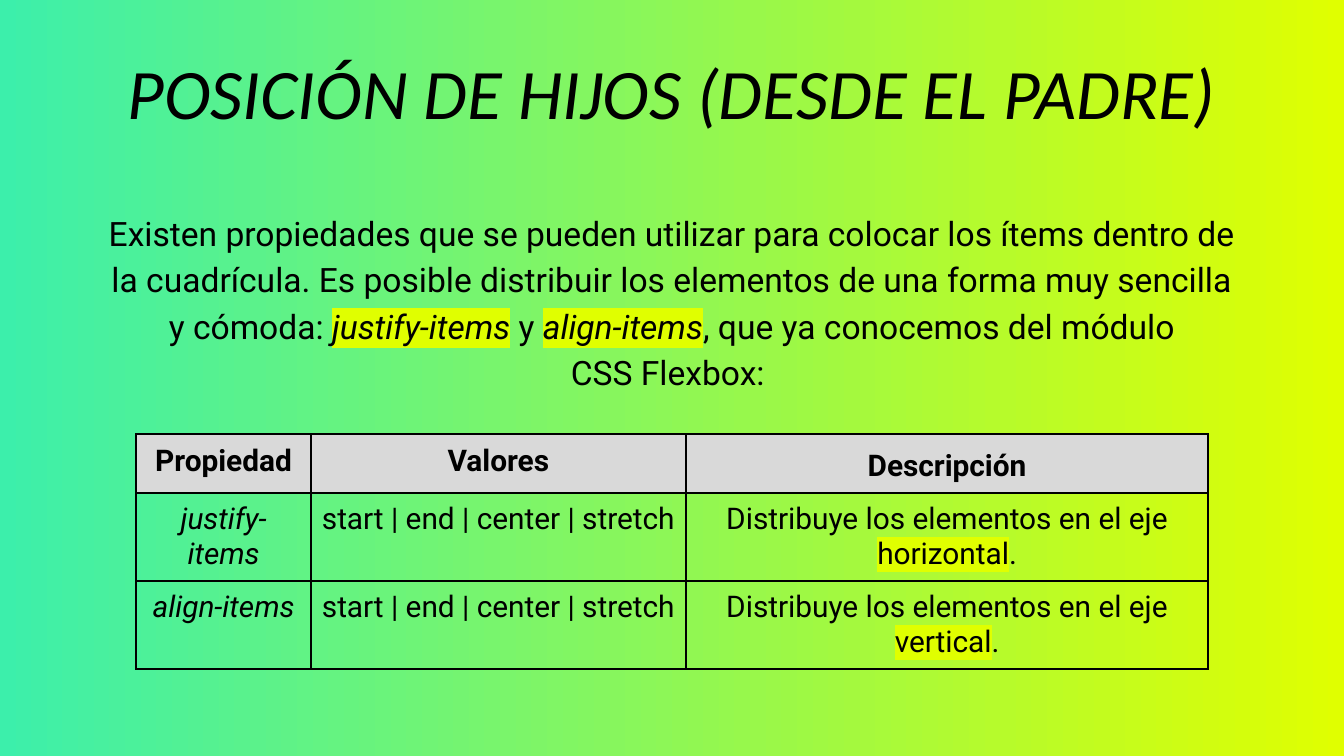
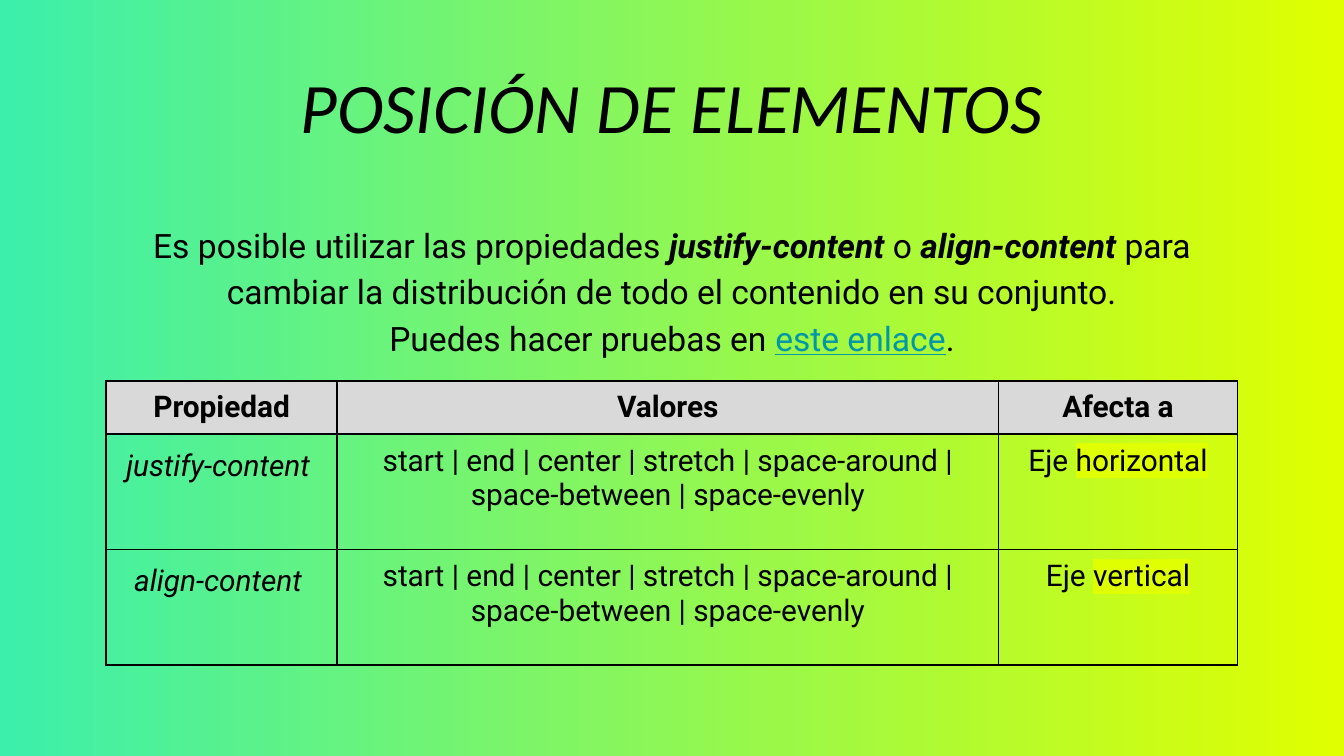
from dataclasses import dataclass

from lxml.etree import SubElement
from pptx import Presentation
from pptx.dml.color import RGBColor as Color
from pptx.enum.text import MSO_ANCHOR as Anchor, MSO_AUTO_SIZE as AutoSize, PP_ALIGN as Align
from pptx.oxml.ns import qn
from pptx.util import Pt


@dataclass(frozen=True)
class Theme:
    """Colours, fonts and sizes shared by the slides."""
    yellow: str = "E0FF00"
    teal: str = "3CEFAB"
    ink: str = "000000"
    header: str = "D9D9D9"
    link: str = "0097A7"
    title_font: str = "Calibri"
    body_font: str = "Roboto"
    title_size: float = 38
    body_size: float = 18
    table_size: float = 16
    line_spacing: float = 1.15
    text_inset: float = 7.2
    cell_inset: float = 5
    text_left: float = 50.6
    text_width: float = 618.8
    title_height: float = 84


THEME = Theme()
ITALIC = {"italic": True}
STRONG = {"bold": True, "italic": True}
MARKED = {"highlight": THEME.yellow}
LINK = {"color": THEME.link, "underline": True}


def add_text(paragraph, text, size=THEME.body_size, font=THEME.body_font, color=THEME.ink,
             bold=False, italic=False, underline=False, highlight=None):
    """Append one formatted run to a paragraph."""
    run = paragraph.add_run()
    run.text = text
    run.font.size = Pt(size)
    run.font.bold = bold
    run.font.italic = italic
    run.font.underline = underline
    run.font.color.rgb = Color.from_string(color)
    if highlight:
        mark = SubElement(run.font._element, qn("a:highlight"))
        SubElement(mark, qn("a:srgbClr"), val=highlight)
    run.font.name = font


def fill_paragraph(paragraph, runs, spacing=None, **base):
    """Centre a paragraph and write its (text, format) runs."""
    paragraph.alignment = Align.CENTER
    if spacing:
        paragraph.line_spacing = spacing
    for text, style in runs:
        add_text(paragraph, text, **{**base, **style})


def set_up_frame(frame, anchor):
    """Give a text frame the shared insets and wrapping."""
    frame.word_wrap = True
    frame.auto_size = AutoSize.NONE
    frame.vertical_anchor = anchor
    frame.margin_left = frame.margin_right = Pt(THEME.text_inset)
    frame.margin_top = frame.margin_bottom = Pt(THEME.text_inset)


def set_background(master):
    """Paint the horizontal gradient behind every slide."""
    fill = master.background.fill
    fill.gradient()
    fill.gradient_angle = 180
    for stop, color in zip(fill.gradient_stops, (THEME.yellow, THEME.teal)):
        stop.color.rgb = Color.from_string(color)


def add_titled_slide(presentation, title, top):
    """Add a slide with its formatted title."""
    slide = presentation.slides.add_slide(presentation.slide_layouts[5])
    shape = slide.shapes.title
    shape.left, shape.top = Pt(THEME.text_left), Pt(top)
    shape.width, shape.height = Pt(THEME.text_width), Pt(THEME.title_height)
    set_up_frame(shape.text_frame, Anchor.TOP)
    fill_paragraph(shape.text_frame.paragraphs[0], [(title, ITALIC)], THEME.line_spacing,
                   size=THEME.title_size, font=THEME.title_font)
    return slide


def add_body(slide, top, height, paragraphs, anchor=Anchor.TOP):
    """Add the introductory text box."""
    shape = slide.shapes.add_textbox(Pt(THEME.text_left), Pt(top), Pt(THEME.text_width), Pt(height))
    frame = shape.text_frame
    set_up_frame(frame, anchor)
    for index, runs in enumerate(paragraphs):
        paragraph = frame.add_paragraph() if index else frame.paragraphs[0]
        fill_paragraph(paragraph, runs, THEME.line_spacing)


def add_borders(cell):
    """Draw a one-point line on each side of a cell."""
    properties = cell._tc.get_or_add_tcPr()
    for side in ("lnL", "lnR", "lnT", "lnB"):
        line = SubElement(properties, qn(f"a:{side}"), w=str(Pt(1)))
        fill = SubElement(line, qn("a:solidFill"))
        SubElement(fill, qn("a:srgbClr"), val=THEME.ink)


def format_cell(cell, runs, is_header, spacing):
    """Write a table cell with its borders and fill."""
    cell.margin_left = cell.margin_right = Pt(THEME.cell_inset)
    cell.margin_top = cell.margin_bottom = Pt(THEME.cell_inset)
    add_borders(cell)
    if is_header:
        cell.fill.solid()
        cell.fill.fore_color.rgb = Color.from_string(THEME.header)
    else:
        cell.fill.background()
    fill_paragraph(cell.text_frame.paragraphs[0], runs, spacing, size=THEME.table_size, bold=is_header)


def add_property_table(slide, left, top, widths, heights, headings, rows, loose_cells):
    """Add a property table; loose cells get the wider line spacing."""
    contents = [[[(heading, {})] for heading in headings]] + rows
    frame = slide.shapes.add_table(len(heights), len(widths), Pt(left), Pt(top),
                                   Pt(sum(widths)), Pt(sum(heights)))
    table = frame.table
    table.first_row = table.horz_banding = False
    for column, width in zip(table.columns, widths):
        column.width = Pt(width)
    for row, height in zip(table.rows, heights):
        row.height = Pt(height)
    for row, cells in enumerate(contents):
        for column, runs in enumerate(cells):
            spacing = THEME.line_spacing if (row, column) in loose_cells else None
            format_cell(table.cell(row, column), runs, row == 0, spacing)


def build_children_slide(presentation):
    """Build the slide on placing children from the parent."""
    slide = add_titled_slide(presentation, "POSICIÓN DE HIJOS (DESDE EL PADRE)", 12.2)
    add_body(slide, 103.7, 109.4, [
        [("Existen propiedades que se pueden utilizar para colocar los ítems dentro de la cuadrícula. "
          "Es posible distribuir los elementos de una forma muy sencilla y cómoda: ", {}),
         ("justify-items", ITALIC | MARKED), (" y ", {}), ("align-items", ITALIC | MARKED),
         (", que ya conocemos del módulo", {})],
        [("CSS Flexbox: ", {})],
    ])
    rows = [[[(name, ITALIC)],
             [("start | end | center | stretch", {})],
             [("Distribuye los elementos en el eje ", {}), (axis, MARKED), (".", {})]]
            for name, axis in (("justify-items", "horizontal"), ("align-items", "vertical"))]
    add_property_table(slide, 73, 232.6, (93.6, 200.9, 279.8), (31, 47, 47),
                       ("Propiedad", "Valores", "Descripción"), rows, {(0, 2)})


def build_elements_slide(presentation):
    """Build the slide on distributing the whole content."""
    slide = add_titled_slide(presentation, "POSICIÓN DE ELEMENTOS", 19.4)
    rows = [[[(name, ITALIC)],
             [("start | end | center | stretch | space-around | space-between | space-evenly", {})],
             [("Eje ", {}), (axis, MARKED)]]
            for name, axis in (("justify-content ", "horizontal"), ("align-content ", "vertical"))]
    add_property_table(slide, 56.9, 204, (123.8, 354.2, 128.2), (28, 61.8, 61.8),
                       ("Propiedad", "Valores", "Afecta a"), rows, {(1, 0), (2, 0)})
    add_body(slide, 115.2, 78.5, [
        [("Es posible utilizar las propiedades ", {}), ("justify-content", STRONG), (" o ", {}),
         ("align-content", STRONG),
         (" para cambiar la distribución de todo el contenido en su conjunto.", {})],
        [("Puedes hacer pruebas en ", {}), ("este enlace", LINK), (".", {})],
    ], Anchor.MIDDLE)


def main():
    """Create and save the presentation."""
    presentation = Presentation()
    presentation.slide_width, presentation.slide_height = Pt(720), Pt(405)
    set_background(presentation.slide_master)
    build_children_slide(presentation)
    build_elements_slide(presentation)
    presentation.save("out.pptx")


if __name__ == "__main__":
    main()
